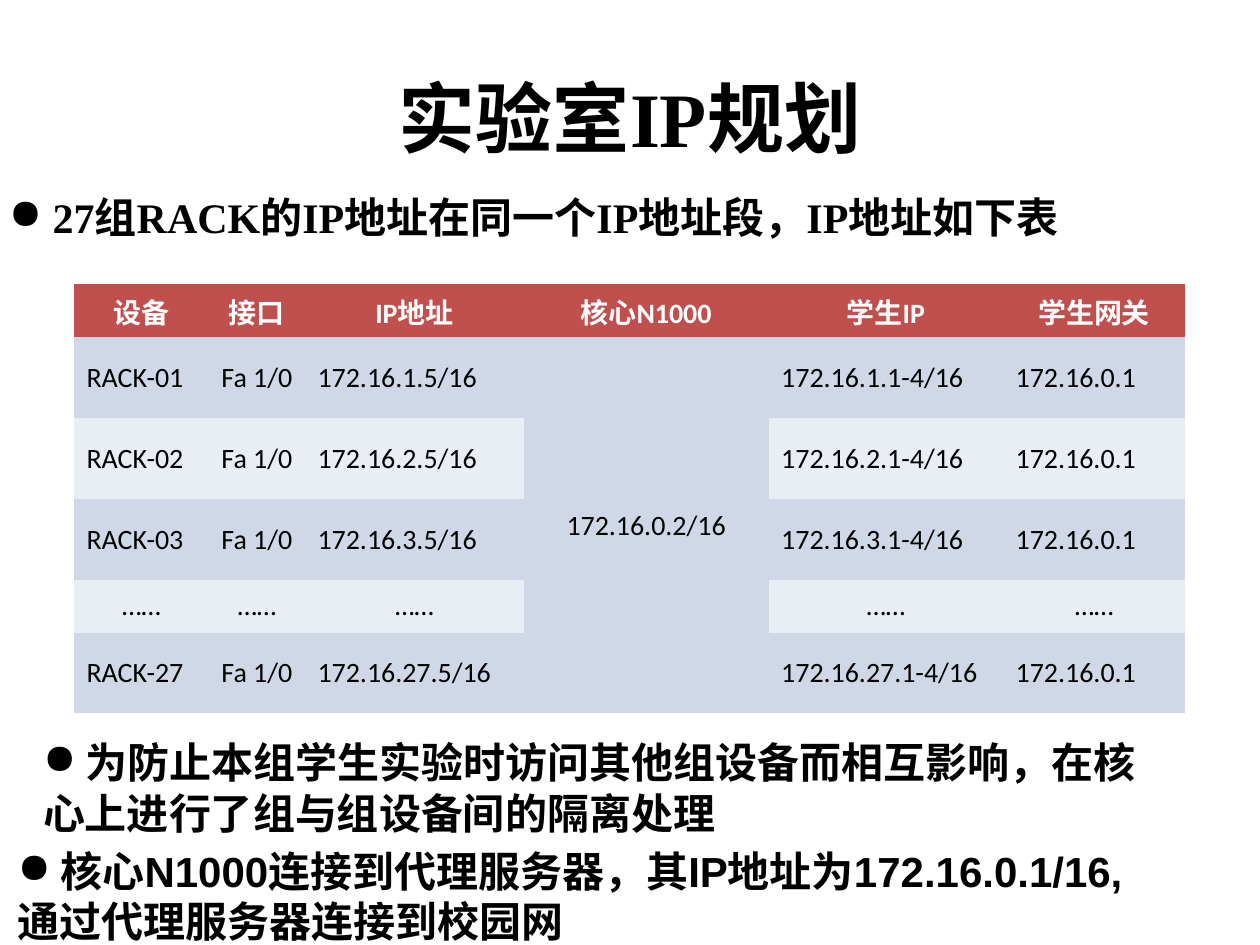
from dataclasses import dataclass

from lxml.etree import SubElement
from pptx import Presentation
from pptx.dml.color import RGBColor
from pptx.enum.text import MSO_ANCHOR, MSO_AUTO_SIZE, PP_ALIGN
from pptx.oxml.ns import qn
from pptx.util import Pt

BLACK = RGBColor(0x00, 0x00, 0x00)
WHITE = RGBColor(0xFF, 0xFF, 0xFF)
HEADER_RED = RGBColor(0xC0, 0x50, 0x4D)
BAND_DARK = RGBColor(0xD0, 0xD8, 0xE8)
BAND_LIGHT = RGBColor(0xE9, 0xED, 0xF4)

SERIF = "Times New Roman"
NO_STYLE_NO_GRID = "{2D5ABB26-0587-4C30-8999-92F81FD0307C}"

COLUMN_WIDTHS = [77, 55, 125, 140, 134, 104]
CENTRED_COLUMNS = {1, 3}
CORE_COLUMN = 3
ROW_HEIGHT, SHORT_ROW_HEIGHT = 46.25, 30
ELLIPSIS = "……"
HEADERS = ["设备", "接口", "IP地址", "核心N1000", "学生IP", "学生网关"]


@dataclass
class Note:
    left: float
    top: float
    width: float
    height: float
    lines: list[str]
    font: str = SERIF


NOTES = [
    Note(-2, 106, 671, 36, [" 27组RACK的IP地址在同一个IP地址段，IP地址如下表"]),
    Note(17.5, 417.5, 644, 65,
         [" 为防止本组学生实验时访问其他组设备而相互影响，在核",
          "心上进行了组与组设备间的隔离处理"]),
    Note(3, 479.5, 678, 65,
         [" 核心N1000连接到代理服务器，其IP地址为172.16.0.1/16,",
          "通过代理服务器连接到校园网"], "Arial"),
]


def style_font(para, name: str, size: float, color: RGBColor, bold: bool) -> None:
    para.font.name = name
    para.font.size = Pt(size)
    para.font.color.rgb = color
    para.font.bold = bold


def add_bullet(para) -> None:
    properties = para._p.get_or_add_pPr()
    properties.set("marL", "0")
    properties.set("indent", "0")
    color = SubElement(properties, qn("a:buClr"))
    SubElement(color, qn("a:srgbClr")).set("val", str(BLACK))
    SubElement(properties, qn("a:buChar")).set("char", "●")


def add_title(page) -> None:
    title = page.shapes.title
    title.left, title.top, title.width, title.height = Pt(36), Pt(21.6), Pt(648), Pt(90)
    frame = title.text_frame
    frame.text = "实验室IP规划"
    frame.vertical_anchor = MSO_ANCHOR.MIDDLE
    para = frame.paragraphs[0]
    para.alignment = PP_ALIGN.CENTER
    style_font(para, SERIF, 44, BLACK, True)


def add_note(page, note: Note) -> None:
    box = page.shapes.add_textbox(Pt(note.left), Pt(note.top), Pt(note.width), Pt(note.height))
    frame = box.text_frame
    frame.word_wrap = False
    frame.auto_size = MSO_AUTO_SIZE.SHAPE_TO_FIT_TEXT
    frame.text = "\n".join(note.lines)
    add_bullet(frame.paragraphs[0])
    for para in frame.paragraphs:
        style_font(para, note.font, 24, BLACK, True)


def rack_row(group: int) -> list[str]:
    return [f"RACK-{group:02}", "Fa 1/0", f"172.16.{group}.5/16", "",
            f"172.16.{group}.1-4/16", "172.16.0.1"]


def fill_cell(cell, text: str, fill: RGBColor, centred: bool, header: bool) -> None:
    cell.fill.solid()
    cell.fill.fore_color.rgb = fill
    cell.vertical_anchor = MSO_ANCHOR.MIDDLE
    cell.text = text
    para = cell.text_frame.paragraphs[0]
    para.alignment = PP_ALIGN.CENTER if centred else PP_ALIGN.LEFT
    style_font(para, "Calibri", 16, WHITE if header else BLACK, header)


def add_address_table(page) -> None:
    gap_row = [ELLIPSIS] * len(HEADERS)
    gap_row[CORE_COLUMN] = ""
    rows = [HEADERS, rack_row(1), rack_row(2), rack_row(3), gap_row, rack_row(27)]
    rows[1][CORE_COLUMN] = "172.16.0.2/16"
    heights = [SHORT_ROW_HEIGHT if row in (HEADERS, gap_row) else ROW_HEIGHT for row in rows]

    frame = page.shapes.add_table(len(rows), len(HEADERS), Pt(42.3), Pt(162.5),
                                  Pt(sum(COLUMN_WIDTHS)), Pt(sum(heights)))
    table = frame.table
    table._tbl.tblPr.find(qn("a:tableStyleId")).text = NO_STYLE_NO_GRID
    for column, width in zip(table.columns, COLUMN_WIDTHS):
        column.width = Pt(width)

    for i, (texts, height) in enumerate(zip(rows, heights)):
        table.rows[i].height = Pt(height)
        header = i == 0
        fill = HEADER_RED if header else BAND_DARK if i % 2 else BAND_LIGHT
        for j, text in enumerate(texts):
            centred = header or j in CENTRED_COLUMNS or text == ELLIPSIS
            fill_cell(table.cell(i, j), text, fill, centred, header)

    # One core switch serves every rack
    table.cell(1, CORE_COLUMN).merge(table.cell(len(rows) - 1, CORE_COLUMN))


def main() -> None:
    deck = Presentation()
    deck.slide_width, deck.slide_height = Pt(720), Pt(540)
    page = deck.slides.add_slide(deck.slide_layouts[5])

    # Title, address plan, then the bulleted notes around it
    add_title(page)
    add_address_table(page)
    for note in NOTES:
        add_note(page, note)

    deck.save("out.pptx")


if __name__ == "__main__":
    main()
